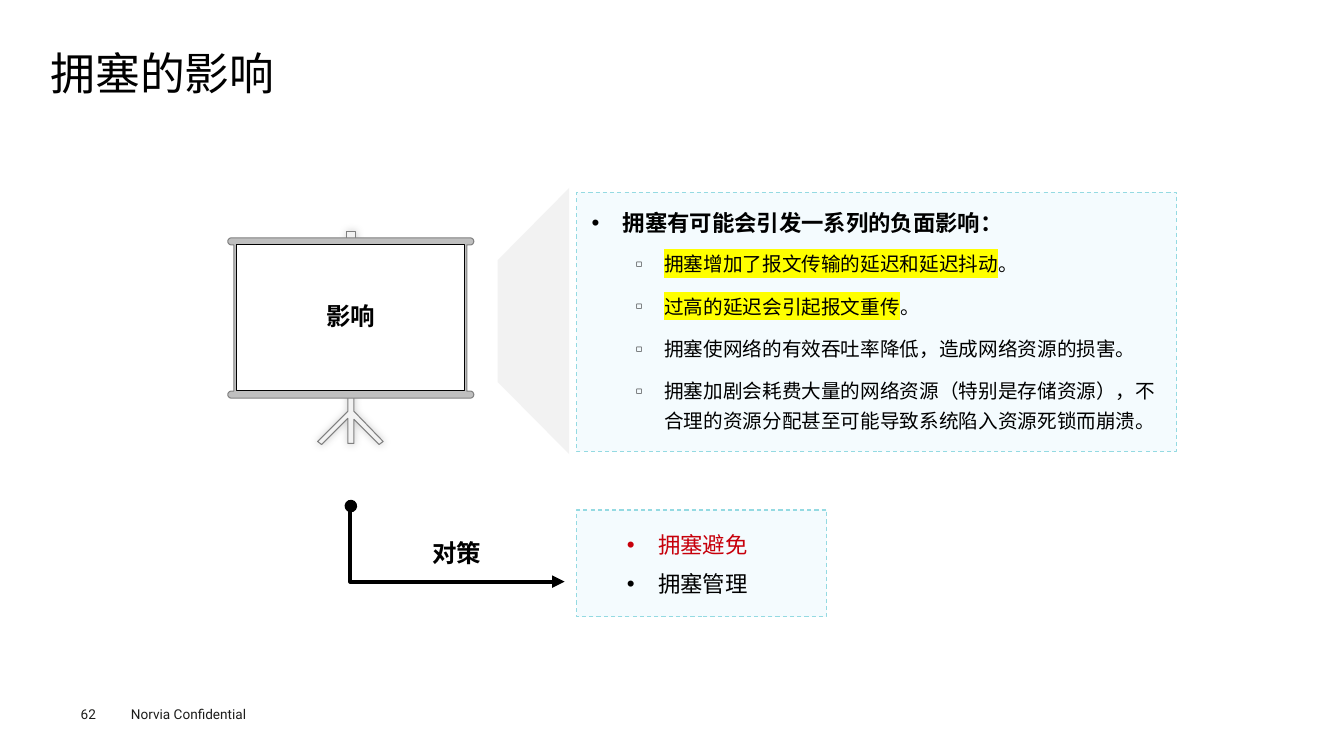
"""Build the slide on the effects of congestion."""
from math import cos, pi, sin

from lxml.etree import SubElement
from pptx import Presentation
from pptx.dml.color import RGBColor
from pptx.enum.dml import MSO_LINE as Dash
from pptx.enum.shapes import MSO_CONNECTOR as Link, MSO_SHAPE as Shape
from pptx.enum.text import MSO_ANCHOR as Anchor, PP_ALIGN as Align
from pptx.oxml.ns import qn
from pptx.util import Inches, Pt

TITLE = "拥塞的影响"
HEAD = "拥塞有可能会引发一系列的负面影响："
EFFECTS = [
    [("拥塞增加了报文传输的延迟和延迟抖动", True), ("。", False)],
    [("过高的延迟会引起报文重传", True), ("。", False)],
    [("拥塞使网络的有效吞吐率降低，造成网络资源的损害。", False)],
    [("拥塞加剧会耗费大量的网络资源（特别是存储资源），"
      "不合理的资源分配甚至可能导致系统陷入资源死锁而崩溃。", False)],
]
CURES = [("拥塞避免", "C7000B"), ("拥塞管理", "000000")]
LABELS = [("影响", (2.7, 2.98, 1.56, 0.36)), ("对策", (3.75, 5.33, 1.56, 0.36))]
FOOTER = [("Norvia Confidential", (1.2, 6.95, 1.6, 0.27), 0.1),
          ("62", (0.8, 7, 0.55, 0.16), 0)]
PANELS = [(5.72, 1.91, 5.95, 2.57), (5.72, 5.06, 2.48, 1.06)]

KNOB = [(3.44, 2.3), (3.53, 2.3), (3.53, 2.42), (3.44, 2.42)]
LEGS = [(3.45, 3.77), (3.51, 3.77), (3.51, 4.08), (3.8, 4.38), (3.76, 4.41),
        (3.51, 4.16), (3.51, 4.4), (3.45, 4.4), (3.45, 4.15), (3.19, 4.41),
        (3.15, 4.38), (3.45, 4.08)]

MAIN = {"margin": 0.31, "hang": 0.31, "mark": "•"}
SUB = {"margin": 0.72, "hang": 0.28, "mark": "◻", "scale": 50}
LOOSE = {"line_spacing": 1.25, "space_before": Pt(2), "space_after": Pt(2)}
ITEM = LOOSE | {"level": 1, "space_before": Pt(7.2)}
FIRST = {"line_spacing": 1.25}
LABEL = {"line_spacing": 0.8, "alignment": Align.CENTER}


def color(code):
    return RGBColor.from_string(code)


def apply(obj, values):
    for name, value in values.items():
        setattr(obj, name, value)


def node(parent, tag, **attrs):
    return SubElement(parent, qn(tag), {k: str(v) for k, v in attrs.items()})


def bullet(para, margin, hang, mark, scale=100):
    props = para._p.get_or_add_pPr()
    props.set("marL", str(Inches(margin)))
    props.set("indent", str(-Inches(hang)))
    node(props, "a:buSzPct", val=scale * 1000)
    node(props, "a:buFont", typeface="Arial")
    node(props, "a:buChar", char=mark)


def write(para, text, size, code="000000", bold=False, glow=False):
    run = para.add_run()
    run.text = text
    apply(run.font, {"size": Pt(size), "bold": bold, "name": "Roboto"})
    run.font.color.rgb = color(code)
    if glow:
        mark = node(run._r.rPr, "a:highlight")
        node(mark, "a:srgbClr", val="FFFF00")
        run._r.rPr.find(qn("a:solidFill")).addnext(mark)


def text_box(slide, place, pad=0.1, anchor=Anchor.MIDDLE):
    frame = slide.shapes.add_textbox(*map(Inches, place)).text_frame
    side, edge = Inches(pad), Inches(pad / 2)
    apply(frame, {"word_wrap": True, "vertical_anchor": anchor,
                  "margin_left": side, "margin_right": side,
                  "margin_top": edge, "margin_bottom": edge})
    return frame


def add_para(frame, form, marks=None):
    used = frame.paragraphs[0].runs
    para = frame.add_paragraph() if used else frame.paragraphs[0]
    if marks:
        bullet(para, **marks)
    apply(para, form)
    return para


def paint(shape, fill, line=None, dash=None):
    shape.shadow.inherit = False
    shape.fill.solid()
    shape.fill.fore_color.rgb = color(fill)
    if line:
        shape.line.color.rgb = color(line)
        shape.line.width = Pt(0.75)
        if dash:
            shape.line.dash_style = dash
    else:
        shape.line.fill.background()
    return shape


def block(slide, kind, place, *look):
    return paint(slide.shapes.add_shape(kind, *map(Inches, place)), *look)


def outline(slide, loops, *look):
    paths = [[(Inches(x), Inches(y)) for x, y in loop] for loop in loops]
    pen = slide.shapes.build_freeform(*paths[0][0], scale=1.0)
    for i, path in enumerate(paths):
        if i:
            pen.move_to(*path[0])
        pen.add_line_segments(path[1:], close=True)
    return paint(pen.convert_to_shape(), *look)


def cap(x, y, side, radius=0.035, steps=8):
    turns = [pi * i / steps for i in range(steps + 1)]
    return [(x + side * radius * sin(t), y - side * radius * cos(t)) for t in turns]


def draw_board(slide):
    stand = outline(slide, [KNOB, LEGS], "F2F2F2", "808080")
    glow = node(stand._element.spPr.find(qn("a:effectLst")), "a:outerShdw",
                blurRad=Pt(6), dist=0, dir=225 * 60000)
    node(node(glow, "a:srgbClr", val="000000"), "a:alpha", val=20000)
    left, right, top, low = 2.295, 4.665, 2.395, 3.915
    frame = [(2.32, 3.88), (2.32, 2.43), *cap(left, top, -1), *cap(right, top, 1),
             (4.63, 2.43), (4.63, 3.88), *cap(right, low, 1), *cap(left, low, -1)]
    outline(slide, [frame], "BFBFBF", "808080")
    block(slide, Shape.RECTANGLE, (2.35, 2.43, 2.26, 1.44), "FFFFFF", "000000")


def draw_arrow(slide):
    ends = map(Inches, (3.48, 5.02, 5.6, 5.77))
    arrow = slide.shapes.add_connector(Link.ELBOW, *ends)
    arrow.line.color.rgb = color("000000")
    arrow.line.width = Pt(3)
    props = arrow._element.spPr
    guides = props.find(qn("a:prstGeom")).find(qn("a:avLst"))
    node(guides, "a:gd", name="adj1", fmla="val -300")
    line = arrow.line._get_or_add_ln()
    node(line, "a:headEnd", type="oval")
    node(line, "a:tailEnd", type="triangle")
    node(props, "a:effectLst")


def main():
    deck = Presentation()
    apply(deck, {"slide_width": Inches(13.33), "slide_height": Inches(7.5)})
    slide = deck.slides.add_slide(deck.slide_layouts[5])

    title = slide.shapes.title
    apply(title, dict(zip(("left", "top", "width", "height"),
                          map(Inches, (0.5, 0.49, 12.31, 0.53)))))
    apply(title.text_frame, {"margin_left": 0, "margin_right": 0, "margin_top": 0,
                             "margin_bottom": 0, "vertical_anchor": Anchor.MIDDLE})
    para = add_para(title.text_frame, {"alignment": Align.LEFT, "line_spacing": 0.9})
    write(para, TITLE, 32)

    for text, place, pad in FOOTER:
        write(add_para(text_box(slide, place, pad, Anchor.TOP), {}), text, 9.7, "1D1D1B")
    for place in PANELS:
        block(slide, Shape.RECTANGLE, place, "F4FBFE", "94DAE2", Dash.DASH)

    frame = text_box(slide, (5.77, 1.96, 5.84, 2.38))
    write(add_para(frame, FIRST, MAIN), HEAD, 16, bold=True)
    for parts in EFFECTS:
        para = add_para(frame, ITEM, SUB)
        for text, glow in parts:
            write(para, text, 14, glow=glow)

    frame = text_box(slide, (6.12, 5.15, 1.57, 0.83))
    for i, (text, code) in enumerate(CURES):
        write(add_para(frame, LOOSE if i else FIRST | {"space_after": Pt(2)}, MAIN),
              text, 16, code)

    beam = block(slide, Shape.TRAPEZOID, (3.97, 2.83, 2.64, 0.71), "F2F2F2")
    beam.rotation = 270
    beam.adjustments[0] = 1.01
    draw_board(slide)
    draw_arrow(slide)
    for text, place in LABELS:
        write(add_para(text_box(slide, place), LABEL), text, 17.5, bold=True)
    deck.save("out.pptx")


if __name__ == "__main__":
    main()
